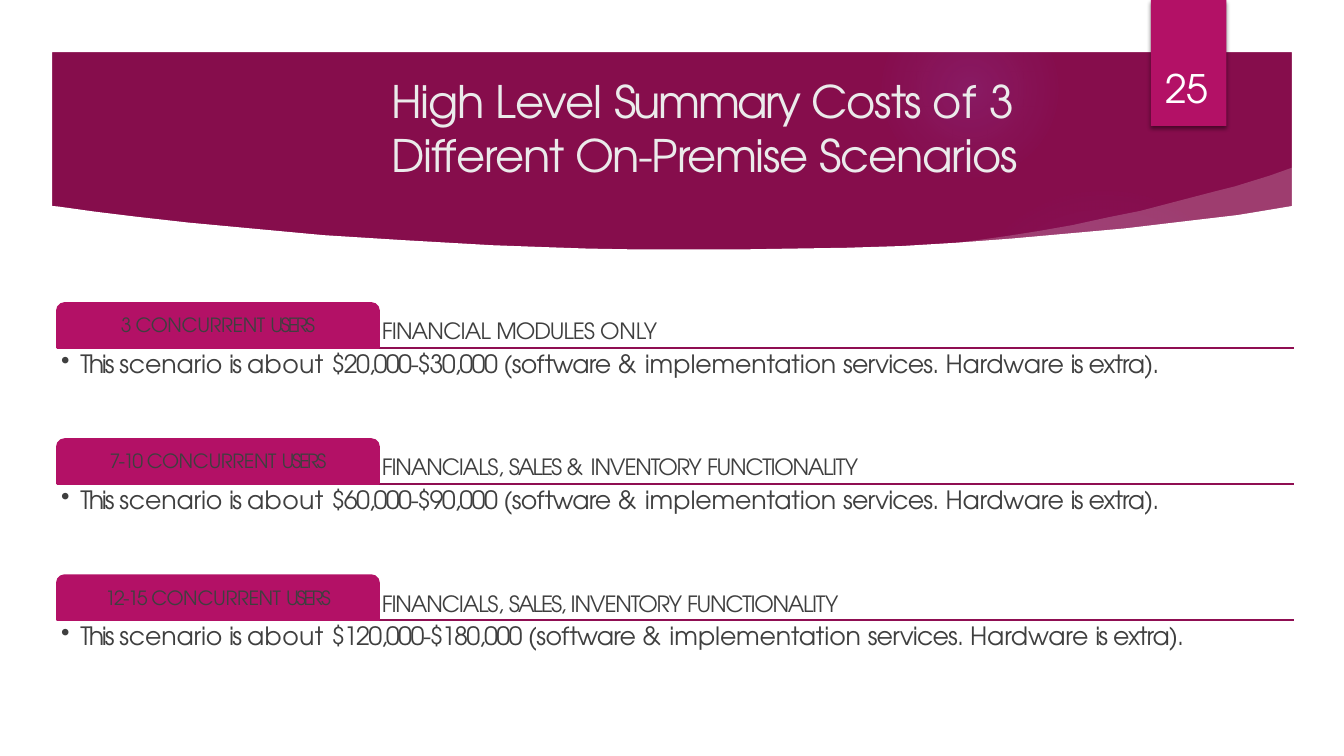
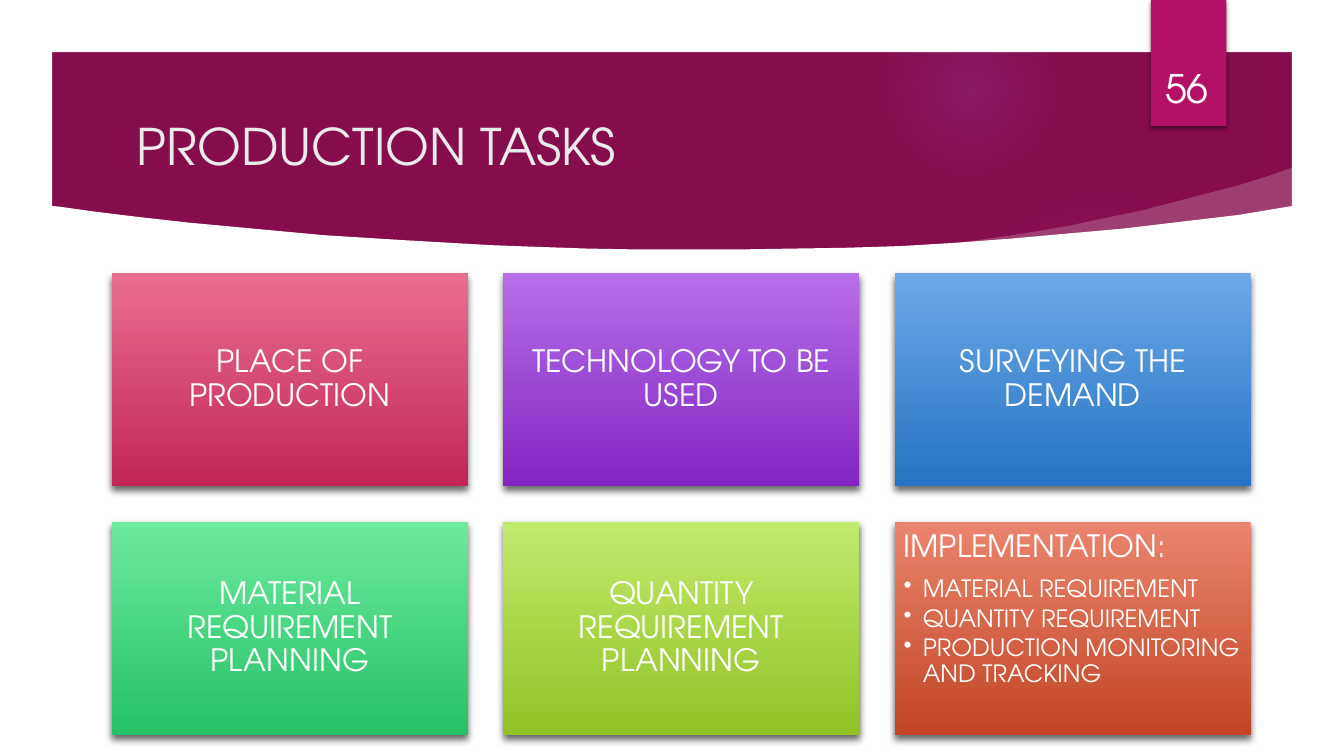
from dataclasses import dataclass

from lxml.etree import SubElement
from pptx import Presentation
from pptx.dml.color import RGBColor
from pptx.enum.shapes import MSO_CONNECTOR, MSO_SHAPE
from pptx.enum.text import MSO_ANCHOR, MSO_AUTO_SIZE, PP_ALIGN
from pptx.oxml import parse_xml
from pptx.oxml.ns import nsdecls, qn
from pptx.util import Inches, Pt


@dataclass(frozen=True)
class Theme:
    font: str = "TeX Gyre Adventor"
    band: str = "860D4C"
    accent: str = "B31166"
    rule: str = "8F0E52"
    glow: str = "9B6BF2"
    white: str = "FFFFFF"
    title: str = "EBEBEB"
    ink: str = "3F3F3F"
    long_title_size: int = 32
    title_size: int = 36
    number_size: int = 28
    tile_size: int = 22
    item_size: int = 17
    body_size: int = 18
    heading_size: int = 16
    tab_size: int = 14


theme = Theme()

# The slide is a grid of 160 columns by 90 rows
COLUMNS, ROWS = 160, 90
CELL = Inches(1) // 12


def add_box(page, spot, fill=None, preset=None, shadow=None, inset=0.0, anchor=MSO_ANCHOR.TOP):
    """Add a text box, or a preset shape; fill is one colour or a (top, bottom) pair."""
    area = [round(value * CELL) for value in spot]
    if preset is None:
        box = page.shapes.add_textbox(*area)
    else:
        box = page.shapes.add_shape(preset, *area)
        box.line.fill.background()
        box.shadow.inherit = False
    if isinstance(fill, tuple):
        box.fill.gradient()
        box.fill.gradient_angle = 270
        for stop, colour in zip(box.fill.gradient_stops, fill):
            stop.color.rgb = RGBColor.from_string(colour)
    elif fill:
        box.fill.solid()
        box.fill.fore_color.rgb = RGBColor.from_string(fill)
    if shadow:
        alpha, blur, distance = shadow
        box.element.spPr.find(qn("a:effectLst")).append(parse_xml(
            f'<a:outerShdw {nsdecls("a")} blurRad="{Pt(blur)}" dist="{Pt(distance)}"'
            f' dir="5400000" rotWithShape="0"><a:srgbClr val="000000">'
            f'<a:alpha val="{alpha * 1000}"/></a:srgbClr></a:outerShdw>'))
    frame = box.text_frame
    frame.word_wrap = True
    frame.vertical_anchor = anchor
    frame.margin_left = frame.margin_right = Inches(inset)
    frame.margin_top = frame.margin_bottom = Inches(inset)
    return box


def write(para, runs, size, colour, align=PP_ALIGN.LEFT, leading=0.9, after=0, bullet=False):
    """Fill a paragraph with (text, letter spacing in points) runs."""
    para.alignment = align
    para.line_spacing = leading
    para.space_after = Pt(after)
    if bullet:
        para.level = 1
        settings = para._p.get_or_add_pPr()
        settings.set("marL", str(Inches(0.19)))
        settings.set("indent", str(-Inches(0.19)))
        SubElement(settings, qn("a:buChar")).set("char", "•")
    for text, spacing in runs:
        span = para.add_run()
        span.text = text
        span.font.name = theme.font
        span.font.size = Pt(size)
        span.font.color.rgb = RGBColor.from_string(colour)
        if spacing:
            span._r.get_or_add_rPr().set("spc", str(round(spacing * 100)))


deck = Presentation()
deck.slide_width, deck.slide_height = COLUMNS * CELL, ROWS * CELL

# Shared layout: keep only the title placeholder, on a plum background
layout = deck.slide_layouts[5]
layout_tree = layout.shapes.element
for holder in list(layout.placeholders):
    if holder.placeholder_format.idx > 0:
        layout_tree.remove(holder.element)
layout.background.fill.solid()
layout.background.fill.fore_color.rgb = RGBColor.from_string(theme.band)

costs_page = deck.slides.add_slide(layout)
tasks_page = deck.slides.add_slide(layout)
decor = []

# Soft glows in the band: place, then (position, opacity) stops in percent
GLOWS = [
    ((113, 22, 37, 37), [(0, 7), (36, 6), (69, 0)]),
    ((105, 0.1, 21, 21), [(0, 14), (36, 7), (73, 0)]),
]
for spot, stops in GLOWS:
    glow = add_box(costs_page, spot, preset=MSO_SHAPE.OVAL)
    glow.fill.background()
    stop_xml = "".join(
        f'<a:gs pos="{position * 1000}"><a:srgbClr val="{theme.glow}">'
        f'<a:alpha val="{alpha * 1000}"/></a:srgbClr></a:gs>' for position, alpha in stops)
    gradient = parse_xml(
        f'<a:gradFill {nsdecls("a")}><a:gsLst>{stop_xml}</a:gsLst><a:path path="circle">'
        '<a:fillToRect l="50000" t="50000" r="50000" b="50000"/></a:path></a:gradFill>')
    properties = glow.element.spPr
    properties.replace(properties.find(qn("a:noFill")), gradient)
    decor.append(glow)

# White outlines that shape the band: contours in grid cells, opacity in percent
SWOOSH = [
    (154, 19.9), (151.2, 20.9), (147, 22.2), (144.2, 22.9), (140, 24), (135.8, 25.1),
    (131.8, 25.9), (127.7, 26.8), (123.7, 27.5), (119.9, 28.1), (116.3, 28.6),
    (111.6, 29.2), (112.1, 30), (132.3, 28.6), (154.7, 25.7),
]
SHEET = [
    (6, 24.5), (6, 84), (154, 84), (154, 24.5), (147.4, 25.6), (140.6, 26.4),
    (133.9, 27.2), (127.2, 27.8), (120.5, 28.4), (113.9, 28.9), (107.3, 29.3),
    (100.8, 29.5), (94.3, 29.6), (88.1, 29.7), (81.8, 29.7), (75.8, 29.7), (70, 29.6),
    (64.2, 29.4), (58.6, 29.2), (48.1, 28.6), (38.5, 28), (29.9, 27.2), (22.4, 26.5),
    (16.2, 25.8), (11.3, 25.2), (7, 24.6),
]
EDGE = 6.2
OUTER = [(0, 0), (0, ROWS), (COLUMNS, ROWS), (COLUMNS, 0)]
INNER = [(COLUMNS - EDGE, ROWS - EDGE), (EDGE, ROWS - EDGE), (EDGE, EDGE), (COLUMNS - EDGE, EDGE)]
for contours, alpha in [([SWOOSH], 20), ([SHEET], 100), ([OUTER, INNER], 100)]:
    builder = None
    for contour in contours:
        start, *others = [(x * 10, y * 10) for x, y in contour]
        if builder is None:
            builder = costs_page.shapes.build_freeform(*start, scale=CELL / 10)
        else:
            builder.move_to(*start)
        builder.add_line_segments(others, close=True)
    outline = builder.convert_to_shape()
    outline.shadow.inherit = False
    outline.line.fill.background()
    outline.fill.solid()
    outline.fill.fore_color.rgb = RGBColor.from_string(theme.white)
    if alpha < 100:
        white = outline.element.spPr.find(f".//{qn('a:srgbClr')}")
        SubElement(white, qn("a:alpha")).set("val", str(alpha * 1000))
    decor.append(outline)

# Bookmark behind the page number
decor.append(add_box(costs_page, (137, 0, 9, 15), theme.accent, MSO_SHAPE.RECTANGLE, (45, 3, 2)))

# Hand the decoration to the layout, behind its title
for position, shape in enumerate(decor, start=2):
    layout_tree.insert(position, shape.element)

# Titles and page numbers
COSTS_TITLE = [
    ("High ", -0.9), ("Level ", -0.7), ("Summary ", -1.8), ("Costs ", -1.1), ("of ", 0.2),
    ("3 ", -2.6), ("Different ", -1), ("On-Premise ", -1.1), ("Scenarios", -0.8),
]
HEADERS = [
    (costs_page, "25", (46.6, 8.6, 79.6, 13.1), COSTS_TITLE, theme.long_title_size, 0),
    (tasks_page, "56", (15.1, 12.7, 115, 9.2), [("PRODUCTION TASKS", 0)], theme.title_size, 0.1),
]
for page, number, spot, runs, size, inset in HEADERS:
    title = page.shapes.title
    title.left, title.top, title.width, title.height = (round(value * CELL) for value in spot)
    frame = title.text_frame
    frame.auto_size = MSO_AUTO_SIZE.NONE
    frame.word_wrap = True
    frame.vertical_anchor = MSO_ANCHOR.MIDDLE
    frame.margin_left = frame.margin_right = Inches(inset)
    frame.margin_top = frame.margin_bottom = Inches(inset / 2)
    write(frame.paragraphs[0], runs, size, theme.title, leading=1.0)
    label = add_box(page, (135.8, 3.8, 11, 10.1), inset=0.05, anchor=MSO_ANCHOR.BOTTOM)
    write(label.text_frame.paragraphs[0], [(number, 0)], theme.number_size, theme.white,
          PP_ALIGN.CENTER, leading=1.0)

# Cost scenarios: tab, heading, rule and detail for each
SCENARIOS = [
    ([("3 ", -1.1)], "$20,000-$30,000 ",
     [("FINANCIAL ", -0.6), ("MODULES ", -0.7), ("ONLY", -0.1)]),
    ([("7-10 ", -1.3)], "$60,000-$90,000 ",
     [("FINANCIALS, ", -0.8), ("SALES ", -1.4), ("& ", 0.4), ("INVENTORY ", -0.8),
      ("FUNCTIONALITY", -0.9)]),
    ([("12-15 ", -1.3)], "$120,000-$180,000 ",
     [("FINANCIALS, ", -0.8), ("SALES, ", -1.4), ("INVENTORY ", -0.8),
      ("FUNCTIONALITY", -0.9)]),
]
USERS = [("CONCURRENT ", -0.3), ("USERS", -1.8)]
DETAIL_START = [("This ", -1.6), ("scenario ", -0.1), ("is ", -1.4), ("about ", 0.3)]
DETAIL_END = [
    ("(software ", -0.5), ("& ", 0.4), ("implementation ", -0.1), ("services. ", -0.6),
    ("Hardware ", -0.1), ("is ", -1.4), ("extra).", -0.7),
]
LEFT, RIGHT = 6.8, 154
TAB_WIDTH, TAB_HEIGHT = 38.3, 5.3
FIRST_RULE, SCENARIO_STEP, DETAIL_HEIGHT = 41.4, 16.2, 10.6
for index, (count, cost, heading) in enumerate(SCENARIOS):
    level = FIRST_RULE + index * SCENARIO_STEP
    rule = costs_page.shapes.add_connector(
        MSO_CONNECTOR.STRAIGHT, *(round(value * CELL) for value in (LEFT, level, RIGHT, level)))
    rule.line.color.rgb = RGBColor.from_string(theme.rule)
    rule.line.width = Pt(1.5)
    SubElement(rule.element.spPr, qn("a:effectLst"))

    tab = add_box(costs_page, (LEFT, level - TAB_HEIGHT, TAB_WIDTH, TAB_HEIGHT), theme.accent,
                  MSO_SHAPE.ROUND_2_SAME_RECTANGLE, inset=0.03, anchor=MSO_ANCHOR.MIDDLE)
    tab.line.color.rgb = RGBColor.from_string(theme.accent)
    tab.line.width = Pt(1.5)
    write(tab.text_frame.paragraphs[0], count + USERS, theme.tab_size, theme.ink,
          PP_ALIGN.CENTER)

    heading_left = LEFT + TAB_WIDTH
    heading_box = add_box(
        costs_page, (heading_left, level - TAB_HEIGHT, RIGHT - heading_left, TAB_HEIGHT),
        inset=0.03, anchor=MSO_ANCHOR.BOTTOM)
    write(heading_box.text_frame.paragraphs[0], heading, theme.heading_size, theme.ink)

    detail = add_box(costs_page, (LEFT, level, RIGHT - LEFT, DETAIL_HEIGHT), inset=0.04)
    write(detail.text_frame.paragraphs[0], DETAIL_START + [(cost, -1.2)] + DETAIL_END,
          theme.body_size, theme.ink, bullet=True)

# Production tasks: three by two tiles with equal gaps
TILES = [
    (("E96E90", "C22655"), "PLACE OF PRODUCTION", []),
    (("B66EE9", "8325C2"), "TECHNOLOGY TO BE USED", []),
    (("6DA9E9", "2573C2"), "SURVEYING THE DEMAND", []),
    (("6DEA9D", "25C265"), "MATERIAL REQUIREMENT PLANNING", []),
    (("C2EA6D", "92C225"), "QUANTITY REQUIREMENT PLANNING", []),
    (("EA856D", "C24525"), "IMPLEMENTATION:",
     ["MATERIAL REQUIREMENT", "QUANTITY REQUIREMENT", "PRODUCTION MONITORING AND TRACKING"]),
]
TILE_LEFT, TILE_TOP, TILE_WIDTH, TILE_HEIGHT, TILE_GAP = 13.3, 32.5, 42.4, 25.4, 4.2
for index, (colours, caption, items) in enumerate(TILES):
    row, column = divmod(index, 3)
    spot = (TILE_LEFT + column * (TILE_WIDTH + TILE_GAP),
            TILE_TOP + row * (TILE_HEIGHT + TILE_GAP), TILE_WIDTH, TILE_HEIGHT)
    tile = add_box(tasks_page, spot, colours, MSO_SHAPE.RECTANGLE, (60, 5, 3), inset=0.09,
                   anchor=MSO_ANCHOR.TOP if items else MSO_ANCHOR.MIDDLE)
    write(tile.text_frame.paragraphs[0], [(caption, 0)], theme.tile_size, theme.white,
          PP_ALIGN.LEFT if items else PP_ALIGN.CENTER, after=9 if items else 0)
    for item in items:
        write(tile.text_frame.add_paragraph(), [(item, 0)], theme.item_size, theme.white,
              after=3, bullet=True)

deck.save("out.pptx")
